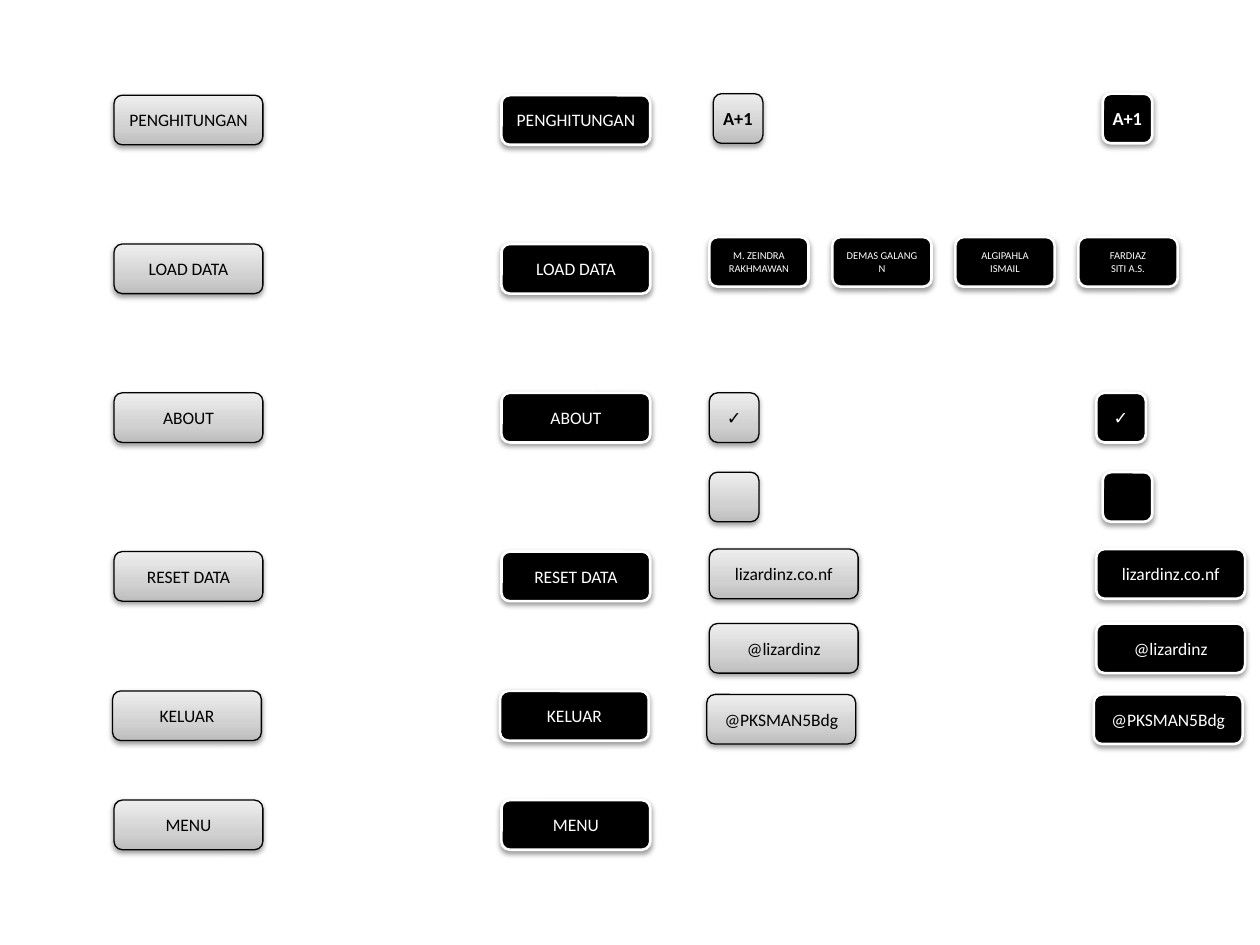
import dataclasses
from typing import Optional

import pptx
import pptx.dml.color
import pptx.enum.shapes
import pptx.enum.text
import pptx.oxml
import pptx.oxml.ns
import pptx.util

Cm = pptx.util.Cm
Pt = pptx.util.Pt
RGB = pptx.dml.color.RGBColor.from_string


@dataclasses.dataclass(frozen=True)
class Style:
    text: str
    outline: str
    outline_width: float
    fill: Optional[str] = None  # None means the silver gradient


@dataclasses.dataclass(frozen=True)
class Theme:
    normal: Style = Style(text="000000", outline="000000", outline_width=0.75)
    pressed: Style = Style(text="FFFFFF", outline="FFFFFF", outline_width=1.5, fill="000000")
    silver: tuple = ((0, "BDBDBD"), (35, "D1D1D1"), (100, "EEEEEE"))
    shadow: str = "000000"
    font: str = "Calibri"
    symbol_font: str = "Arial"
    label_size: float = 10
    counter_size: float = 10.5
    name_size: float = 6


@dataclasses.dataclass(frozen=True)
class ButtonPair:
    """A button in its normal and pressed states; lengths in centimetres."""
    label: str
    left: float
    top: float
    pressed_left: float
    width: float = 3.0
    font: str = "Calibri"


THEME = Theme()
BUTTON_HEIGHT = 1.0
SQUARE = 1.0
INSET = 0.2
MENU_LEFT, MENU_PRESSED = 2.3, 10.11
SIDE_LEFT, SIDE_PRESSED = 14.3, 22.1

MENU_BUTTONS = [
    ButtonPair("PENGHITUNGAN", MENU_LEFT, 1.92, MENU_PRESSED),
    ButtonPair("LOAD DATA", MENU_LEFT, 4.92, MENU_PRESSED),
    ButtonPair("ABOUT", MENU_LEFT, 7.92, MENU_PRESSED),
    ButtonPair("RESET DATA", MENU_LEFT, 11.12, MENU_PRESSED),
    ButtonPair("KELUAR", 2.27, 13.93, 10.08),
    ButtonPair("MENU", MENU_LEFT, 16.13, MENU_PRESSED),
]
SIDE_BUTTONS = [
    ButtonPair("", 14.38, 1.89, 22.23, SQUARE),
    ButtonPair("✓", SIDE_LEFT, 7.92, SIDE_PRESSED, SQUARE, THEME.symbol_font),
    ButtonPair("", SIDE_LEFT, 9.52, 22.23, SQUARE),
    ButtonPair("lizardinz.co.nf", SIDE_LEFT, 11.07, SIDE_PRESSED),
    ButtonPair("@lizardinz", SIDE_LEFT, 12.57, SIDE_PRESSED),
    ButtonPair("@PKSMAN5Bdg", 14.25, 14.0, 22.05),
]
AUTHORS = ["M. ZEINDRA RAKHMAWAN", "DEMAS GALANG N", "ALGIPAHLA ISMAIL", "FARDIAZ\nSITI A.S."]
AUTHOR_TOP, AUTHOR_WIDTH, AUTHOR_STEP = 4.78, 2.0, 2.48


def write_text(frame, text: str, *, size: float, color: str,
               font: str = THEME.font, bold: bool = False) -> None:
    """Write centred text, one paragraph for each line."""
    frame.word_wrap = True
    for index, line in enumerate(text.split("\n")):
        paragraph = frame.paragraphs[0] if index == 0 else frame.add_paragraph()
        paragraph.alignment = pptx.enum.text.PP_ALIGN.CENTER
        run = paragraph.add_run()
        run.text = line
        run.font.name = font
        run.font.size = Pt(size)
        run.font.bold = bold
        run.font.color.rgb = RGB(color)


def fill_silver(fill) -> None:
    """Fill with the three-stop gradient, lightest at the top."""
    fill.gradient()
    fill.gradient_angle = 90
    stops = fill._xPr.find(".//" + pptx.oxml.ns.qn("a:gsLst"))
    for stop in list(stops):
        stops.remove(stop)
    for position, color in THEME.silver:
        stops.append(pptx.oxml.parse_xml(
            f'<a:gs {pptx.oxml.ns.nsdecls("a")} pos="{position * 1000}">'
            f'<a:srgbClr val="{color}"/></a:gs>'))


def add_shadow(shape) -> None:
    """Give the shape a soft shadow straight below it."""
    shape.shadow.inherit = False
    effects = shape._element.spPr.find(pptx.oxml.ns.qn("a:effectLst"))
    effects.append(pptx.oxml.parse_xml(
        f'<a:outerShdw {pptx.oxml.ns.nsdecls("a")} blurRad="{Pt(3.1)}" dist="{Pt(1.6)}" '
        f'dir="5400000" rotWithShape="0"><a:srgbClr val="{THEME.shadow}">'
        '<a:alpha val="38000"/></a:srgbClr></a:outerShdw>'))


def add_button(slide, label: str, left: float, top: float, width: float, style: Style,
               *, size: float = THEME.label_size, font: str = THEME.font) -> None:
    button = slide.shapes.add_shape(
        pptx.enum.shapes.MSO_SHAPE.ROUNDED_RECTANGLE,
        Cm(left), Cm(top), Cm(width), Cm(BUTTON_HEIGHT))
    if style.fill:
        button.fill.solid()
        button.fill.fore_color.rgb = RGB(style.fill)
    else:
        fill_silver(button.fill)
    button.line.color.rgb = RGB(style.outline)
    button.line.width = Pt(style.outline_width)
    add_shadow(button)
    if label:
        frame = button.text_frame
        frame.margin_left = frame.margin_right = Cm(INSET)
        frame.vertical_anchor = pptx.enum.text.MSO_ANCHOR.MIDDLE
        write_text(frame, label, size=size, color=style.text, font=font)


def add_pair(slide, pair: ButtonPair) -> None:
    for left, style in ((pair.left, THEME.normal), (pair.pressed_left, THEME.pressed)):
        add_button(slide, pair.label, left, pair.top, pair.width, style, font=pair.font)


def add_counter(slide, left: float, style: Style) -> None:
    counter = slide.shapes.add_textbox(Cm(left), Cm(2.03), Cm(1.25), Cm(0.71))
    write_text(counter.text_frame, "A+1", size=THEME.counter_size, color=style.text, bold=True)
    counter.text_frame.auto_size = pptx.enum.text.MSO_AUTO_SIZE.SHAPE_TO_FIT_TEXT


def main() -> None:
    deck = pptx.Presentation()
    deck.slide_width, deck.slide_height = Cm(25.4), Cm(19.05)
    slide = deck.slides.add_slide(deck.slide_layouts[6])

    # Buttons in both states
    for pair in MENU_BUTTONS + SIDE_BUTTONS:
        add_pair(slide, pair)

    # Author names
    for index, author in enumerate(AUTHORS):
        add_button(slide, author, SIDE_LEFT + index * AUTHOR_STEP, AUTHOR_TOP,
                   AUTHOR_WIDTH, THEME.pressed, size=THEME.name_size)

    # Labels over the top square buttons
    add_counter(slide, 14.25, THEME.normal)
    add_counter(slide, 22.1, THEME.pressed)

    deck.save("out.pptx")


if __name__ == "__main__":
    main()
